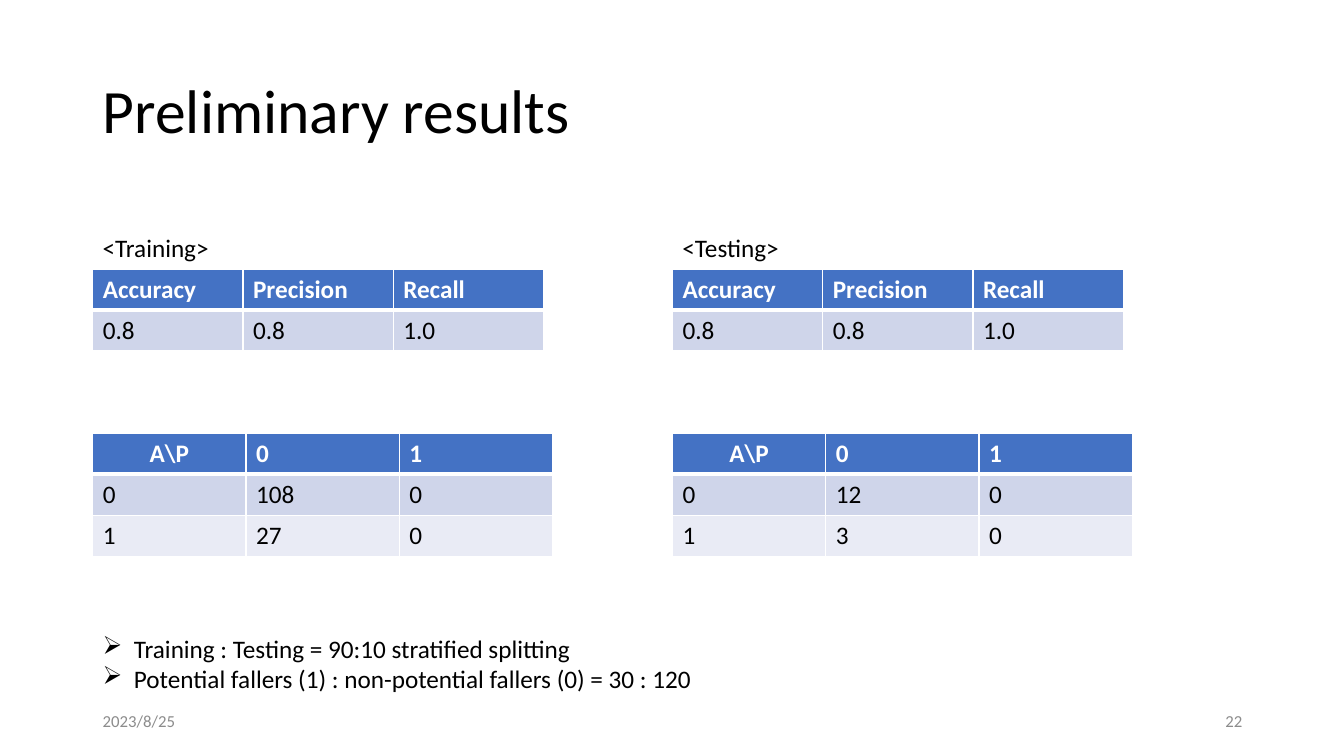
from lxml import etree
from pptx import Presentation
from pptx.dml.color import RGBColor
from pptx.enum.text import MSO_ANCHOR, PP_ALIGN
from pptx.oxml.ns import qn
from pptx.util import Inches, Pt

BLACK = RGBColor(0, 0, 0)
WHITE = RGBColor(255, 255, 255)
GRAY = RGBColor(0x8C, 0x8C, 0x8C)
HEADER = RGBColor(0x44, 0x72, 0xC4)
BANDS = [RGBColor(0xCF, 0xD5, 0xEA), RGBColor(0xE9, 0xEB, 0xF5)]
FONT = "Calibri"
LEFT = 0.92
ROW_HEIGHT = 0.406

RESULTS = [
    ("<Training>", LEFT, 1.27, ["0.8", "0.8", "1.0"], [["0", "108", "0"], ["1", "27", "0"]]),
    ("<Testing>", 6.67, 1.17, ["0.8", "0.8", "1.0"], [["0", "12", "0"], ["1", "3", "0"]]),
]
NOTES = [
    "Training : Testing = 90:10 stratified splitting",
    "Potential fallers (1) : non-potential fallers (0) = 30 : 120",
]


def style(p, size, color, bold=False):
    for r in p.runs:
        r.font.name = FONT
        r.font.size = Pt(size)
        r.font.bold = bold
        r.font.color.rgb = color


def add_title(slide, text):
    sp = slide.shapes.title
    sp.left, sp.top, sp.width, sp.height = Inches(LEFT), Inches(0.4), Inches(11.5), Inches(1.45)
    tf = sp.text_frame
    tf.text = text
    tf.vertical_anchor = MSO_ANCHOR.MIDDLE
    p = tf.paragraphs[0]
    p.alignment = PP_ALIGN.LEFT
    p.line_spacing = 0.9
    style(p, 44, BLACK)


def add_text(slide, lines, x, y, w, h, size=18, color=BLACK, align=PP_ALIGN.LEFT,
             anchor=MSO_ANCHOR.TOP, wrap=False):
    tf = slide.shapes.add_textbox(Inches(x), Inches(y), Inches(w), Inches(h)).text_frame
    tf.word_wrap = wrap
    tf.vertical_anchor = anchor
    tf.text = "\n".join(lines)
    for p in tf.paragraphs:
        p.alignment = align
        style(p, size, color)
    return tf


def add_footer(slide, text, x, align):
    add_text(slide, [text], x, 6.95, 3, 0.4, 12, GRAY, align, MSO_ANCHOR.MIDDLE, True)


def add_bullets(tf):
    for p in tf.paragraphs:
        pPr = p._p.get_or_add_pPr()
        pPr.set("marL", str(Inches(0.31)))
        pPr.set("indent", str(-Inches(0.31)))
        etree.SubElement(pPr, qn("a:buChar")).set("char", "➢")


def set_borders(cell, bottom):
    tcPr = cell._tc.get_or_add_tcPr()
    widths = {"a:lnL": 1, "a:lnR": 1, "a:lnT": 1, "a:lnB": bottom}
    for i, (tag, width) in enumerate(widths.items()):
        ln = etree.Element(qn(tag), w=str(Pt(width)))
        fill = etree.SubElement(ln, qn("a:solidFill"))
        etree.SubElement(fill, qn("a:srgbClr")).set("val", str(WHITE))
        tcPr.insert(i, ln)


def add_result_table(slide, rows, x, y, col_width):
    cols = len(rows[0])
    table = slide.shapes.add_table(len(rows), cols, Inches(x), Inches(y), Inches(col_width * cols),
                                   Inches(ROW_HEIGHT * len(rows))).table
    for col in table.columns:
        col.width = Inches(col_width)
    for i, row in enumerate(rows):
        header = i == 0
        for j, text in enumerate(row):
            cell = table.cell(i, j)
            cell.text = text
            cell.fill.solid()
            cell.fill.fore_color.rgb = HEADER if header else BANDS[(i - 1) % 2]
            style(cell.text_frame.paragraphs[0], 18, WHITE if header else BLACK, header)
            set_borders(cell, 3 if header else 1)
    return table


def main():
    prs = Presentation()
    prs.slide_width, prs.slide_height = Inches(13.33), Inches(7.5)
    slide = prs.slides.add_slide(prs.slide_layouts[5])
    add_title(slide, "Preliminary results")
    add_footer(slide, "2023/8/25", LEFT, PP_ALIGN.LEFT)
    add_footer(slide, "22", 9.42, PP_ALIGN.RIGHT)
    for name, x, width, scores, confusion in RESULTS:
        add_text(slide, [name], x, 2.26, width, 0.4)
        add_result_table(slide, [["Accuracy", "Precision", "Recall"], scores], x, 2.67, 1.49)
        matrix = add_result_table(slide, [["A\\P", "0", "1"]] + confusion, x, 4.3, 1.52)
        matrix.cell(0, 0).text_frame.paragraphs[0].alignment = PP_ALIGN.CENTER
    add_bullets(add_text(slide, NOTES, LEFT, 6.23, 6.12, 0.71))
    prs.save("out.pptx")


if __name__ == "__main__":
    main()
